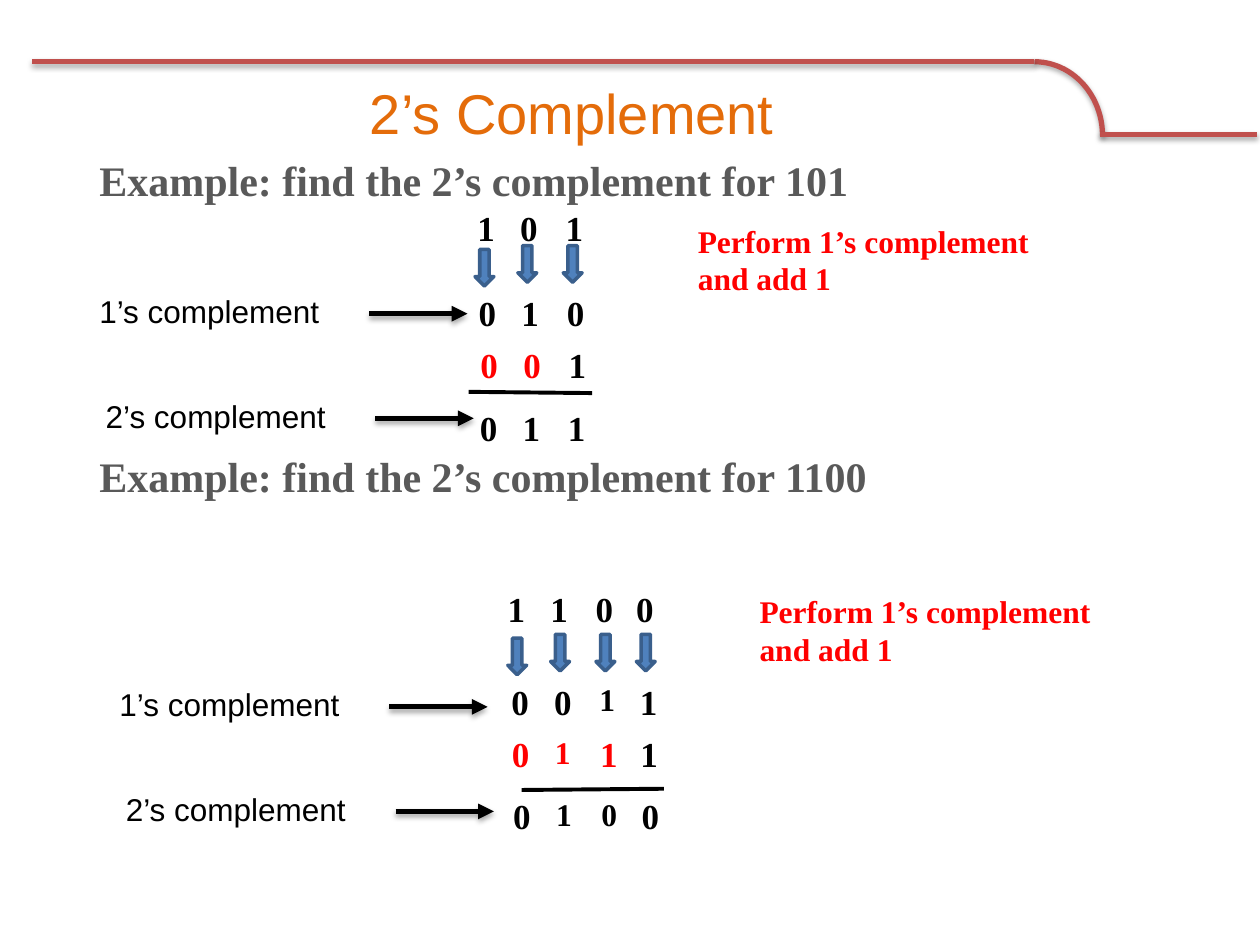
"""Build a slide with two worked examples of the 2’s complement."""
from lxml.etree import SubElement
from pptx import Presentation
from pptx.dml.color import RGBColor
from pptx.enum.shapes import MSO_CONNECTOR, MSO_SHAPE
from pptx.enum.text import MSO_ANCHOR, PP_ALIGN
from pptx.oxml.ns import qn
from pptx.util import Pt

COLORS = {
    "title": "E46C0A", "heading": "595959", "ink": "000000", "accent": "FF0000",
    "frame": "C0504D", "arrow": "4F81BD", "arrow edge": "3A5F8C",
}
COLORS = {name: RGBColor.from_string(value) for name, value in COLORS.items()}
SERIF, SANS = "Times New Roman", "Arial"

deck = Presentation()
deck.slide_width, deck.slide_height = Pt(720), Pt(540)
cell = deck.slide_width // 100
page = deck.slides.add_slide(deck.layouts[5] if hasattr(deck, "layouts") else deck.slide_layouts[5])


def write(box, area, lines, size, color, font=SERIF, bold=True):
    box.left, box.top, box.width, box.height = [round(n * cell) for n in area]
    frame = box.text_frame
    frame.word_wrap = True
    frame.text = "\n".join(lines)
    for para in frame.paragraphs:
        for span in para.runs:
            span.font.name, span.font.size, span.font.bold = font, Pt(size), bold
            span.font.color.rgb = COLORS[color]
    return frame


def stroke(shape, color, width, shadow=False, head=False):
    shape.line.color.rgb = COLORS[color]
    shape.line.width = Pt(width)
    properties = shape.element.spPr
    if head:
        SubElement(properties.find(qn("a:ln")), qn("a:tailEnd"), type="triangle")
    effects = SubElement(properties, qn("a:effectLst"))
    if shadow:
        outer = SubElement(effects, qn("a:outerShdw"), blurRad=str(Pt(3.1)),
                           dist=str(Pt(1.8)), dir="5400000", rotWithShape="0")
        black = SubElement(outer, qn("a:srgbClr"), val="000000")
        SubElement(black, qn("a:alpha"), val="35000")


arc = page.shapes.add_shape(
    MSO_SHAPE.ARC, *[round(n * cell) for n in (76.7, 4.9, 10.8, 11.7)])
arc.fill.background()
stroke(arc, "frame", 3, shadow=True)
rules = [
    ((87.3, 10.7, 99.8, 10.7), "frame", 3, True, False),
    ((82.1, 4.9, 2.5, 4.9), "frame", 3, True, False),
]

title = write(page.shapes.title, (5, 5.3, 80.8, 7.2), ["2’s Complement"],
              32, "title", SANS, False)
title.vertical_anchor = MSO_ANCHOR.MIDDLE
title.paragraphs[0].alignment = PP_ALIGN.CENTER

headings = write(page.shapes.add_textbox(0, 0, 0, 0), (6.9, 11.8, 86.2, 56),
                 [f"Example: find the 2’s complement for {number}" for number in ("101", "1100")],
                 24, "heading")
headings.paragraphs[1].space_before = Pt(140.4)

examples = [
    {
        "columns": (37, 40.4, 44), "arrows": 19.5, "note": (54.4, 17.1),
        "labels": (6.9, 22.7), "sum": (37.2, 31.1, 47, 31.2),
        "rows": [(15.9, -0.1, "101", 0, ()), (22.65, 0, "010", 0, ()),
                 (26.75, 0.15, "001", 2, ()), (31.75, 0.1, "011", 0, ())],
    },
    {
        "columns": (39.6, 43, 46.6, 49.8), "arrows": 50.35, "note": (59.3, 46.5),
        "labels": (8.5, 53.9), "sum": (41.4, 62.7, 52.7, 62.6),
        "rows": [(46.1, -0.3, "1100", 0, ()), (53.5, 0, "0011", 0, (2,)),
                 (57.65, 0.05, "0111", 3, (1,)), (62.6, 0.15, "0100", 0, (1, 2))],
    },
]

for example in examples:
    for index, column in enumerate(example["columns"]):
        drop = 0.3 if index == 0 else 0
        area = (column + 0.7, example["arrows"] + drop, 1.5, 2.9)
        arrow = page.shapes.add_shape(MSO_SHAPE.DOWN_ARROW, *[round(n * cell) for n in area])
        arrow.fill.solid()
        arrow.fill.fore_color.rgb = COLORS["arrow"]
        stroke(arrow, "arrow edge", 2)

    for top, shift, digits, carried, small in example["rows"]:
        for index, (column, digit) in enumerate(zip(example["columns"], digits)):
            write(page.shapes.add_textbox(0, 0, 0, 0), (column + shift, top, 3.3, 4.4), [digit],
                  18 if index in small else 20, "accent" if index < carried else "ink")

    write(page.shapes.add_textbox(0, 0, 0, 0), (*example["note"], 31.3, 7.7),
          ["Perform 1’s complement and add 1"], 18, "accent")
    rules.append((example["sum"], "ink", 2.25, False, False))

    for step, name in enumerate(("1’s complement", "2’s complement")):
        left = example["labels"][0] + 0.5 * step
        top = example["labels"][1] + 8.3 * step
        write(page.shapes.add_textbox(0, 0, 0, 0), (left, top, 26.7, 4.4), [name],
              18, "ink", SANS, False)
        start, level = left + 22.4, top + 2.2
        rules.append(((start, level, start + 7.8, level), "ink", 3, True, True))

for points, color, width, shadow, head in rules:
    line = page.shapes.add_connector(MSO_CONNECTOR.STRAIGHT, *[round(n * cell) for n in points])
    stroke(line, color, width, shadow, head)

deck.save("out.pptx")
